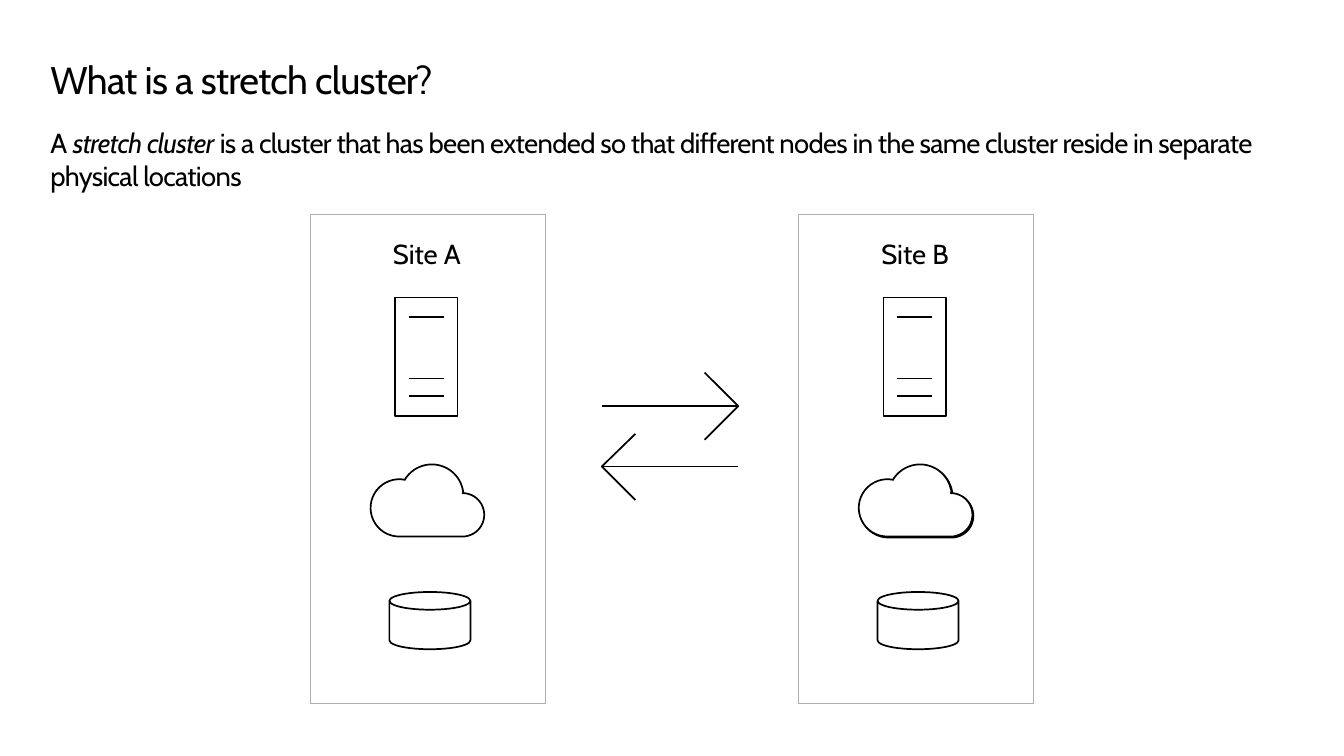
"""Build a slide that shows a stretch cluster across two sites."""
from dataclasses import dataclass
from math import cos, radians, sin

from pptx import Presentation
from pptx import util as u
from pptx.dml.color import RGBColor
from pptx.enum import shapes, text
from pptx.shapes.autoshape import Shape
from pptx.slide import Slide

COLORS = {"ink": "000000", "paper": "FFFFFF", "border": "AEAEAE"}
FONT = "Cabin"
Point = tuple[float, float]
Run = tuple[str, bool]


@dataclass(frozen=True)
class Site:
    name: str
    left: float
    cloud_offsets: tuple[float, ...]


@dataclass(frozen=True)
class Arc:
    x: float
    y: float
    radius: float
    start: int
    end: int

    def points(self, steps: int = 24) -> list[Point]:
        angles = [radians(self.start + (self.end - self.start) * i / steps)
                  for i in range(steps + 1)]
        return [(self.x + self.radius * cos(a), self.y + self.radius * sin(a)) for a in angles]


SITES = (Site("Site A", 3.14, (0,)), Site("Site B", 8.08, (0.01, 0)))
CLOUD = (Arc(0.29, 0.44, 0.29, 90, 282), Arc(0.62, 0.32, 0.32, 211, 355),
         Arc(0.93, 0.51, 0.22, 270, 450))
SERVER = [[(0, 0), (0.63, 0), (0.63, 1.2), (0, 1.2), (0, 0)],
          *([(0.14, y), (0.49, y)] for y in (0.2, 0.82, 1.0))]
ARROWS = [[(1.04, 0), (1.38, 0.34), (1.04, 0.68)], [(1.38, 0.34), (0, 0.34)],
          [(0.34, 0.62), (0, 0.95), (0.34, 1.29)], [(0, 0.95), (1.38, 0.95)]]


def rgb(name: str) -> RGBColor:
    return RGBColor.from_string(COLORS[name])


def style(sp: Shape, *, line: str = "ink", width: float = 1.25, fill: str | None = None) -> None:
    sp.shadow.inherit = False
    sp.line.color.rgb = rgb(line)
    sp.line.width = u.Pt(width)
    if fill:
        sp.fill.solid()
        sp.fill.fore_color.rgb = rgb(fill)
    else:
        sp.fill.background()


def add_text(s: Slide, runs: list[Run], left: float, top: float, width: float, height: float, *,
             size: int = 20, spacing: float = 0, line_spacing: float = 1,
             insets: tuple[float, ...] = (0.1, 0.05, 0.1, 0.05),
             align: text.PP_ALIGN = text.PP_ALIGN.LEFT,
             anchor: text.MSO_ANCHOR = text.MSO_ANCHOR.TOP) -> None:
    sp = s.shapes.add_textbox(*map(u.Inches, (left, top, width, height)))
    tf = sp.text_frame
    tf.word_wrap = True
    tf.vertical_anchor = anchor
    tf.margin_left, tf.margin_top, tf.margin_right, tf.margin_bottom = map(u.Inches, insets)
    p = tf.paragraphs[0]
    p.alignment = align
    p.line_spacing = line_spacing
    for words, italic in runs:
        r = p.add_run()
        r.text = words
        r.font.name = FONT
        r.font.size = u.Pt(size)
        r.font.italic = italic
        r.font.color.rgb = rgb("ink")
        if spacing:
            r.font._element.set("spc", str(int(spacing * 100)))


def add_preset(s: Slide, kind: shapes.MSO_SHAPE, left: float, top: float,
               width: float, height: float) -> Shape:
    return s.shapes.add_shape(kind, *map(u.Inches, (left, top, width, height)))


def add_outline(s: Slide, strokes: list[list[Point]], left: float, top: float, *,
                close: bool = False, fill: str | None = None) -> None:
    paths = [[(u.Inches(left + x), u.Inches(top + y)) for x, y in stroke] for stroke in strokes]
    fb = s.shapes.build_freeform(*paths[0][0])
    for i, path in enumerate(paths):
        if i:
            fb.move_to(*path[0])
        fb.add_line_segments(path[1:], close=close)
    style(fb.convert_to_shape(), fill=fill)


def add_site(s: Slide, site: Site) -> None:
    x = site.left
    style(add_preset(s, shapes.MSO_SHAPE.RECTANGLE, x, 2.17, 2.38, 4.95),
          line="border", width=0.85, fill="paper")
    add_text(s, [(site.name, False)], x + 0.37, 2.35, 1.62, 0.44, align=text.PP_ALIGN.CENTER)
    add_outline(s, SERVER, x + 0.86, 3.01)
    cloud = [point for arc in CLOUD for point in arc.points()]
    for offset in site.cloud_offsets:
        add_outline(s, [cloud], x + 0.61 + offset, 4.7 + offset, close=True, fill="paper")
    disk = add_preset(s, shapes.MSO_SHAPE.CAN, x + 0.8, 5.99, 0.82, 0.58)
    disk.adjustments[0] = 0.31
    style(disk)


def main() -> None:
    prs = Presentation()
    prs.slide_width, prs.slide_height = u.Inches(13.6), u.Inches(7.65)
    s = prs.slides.add_slide(prs.slide_layouts[6])
    add_text(s, [("What is a stretch cluster?", False)], 0.51, 0.62, 12.61, 0.45,
             size=28, spacing=-0.5, line_spacing=0.9, insets=(0, 0, 0.1, 0))
    add_text(s, [("A ", False), ("stretch cluster", True),
                 (" is a cluster that has been extended so that different nodes in the same "
                  "cluster reside in separate physical locations", False)],
             0.51, 1.25, 12.61, 0.74, spacing=-0.5, insets=(0, 0, 0.1, 0.05),
             anchor=text.MSO_ANCHOR.BOTTOM)
    for site in SITES:
        add_site(s, site)
    add_outline(s, ARROWS, 6.09, 3.77)
    prs.save("out.pptx")


if __name__ == "__main__":
    main()
